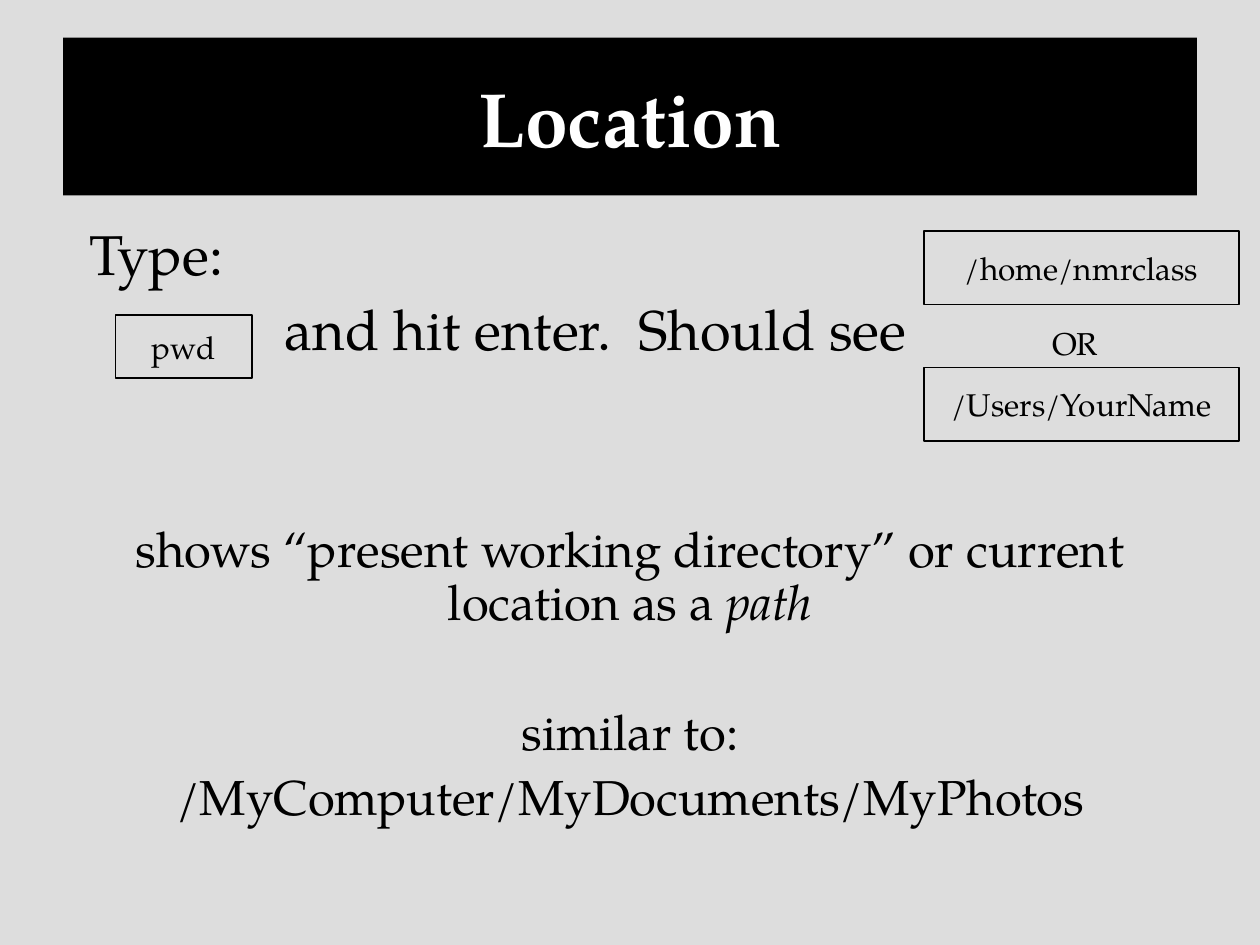
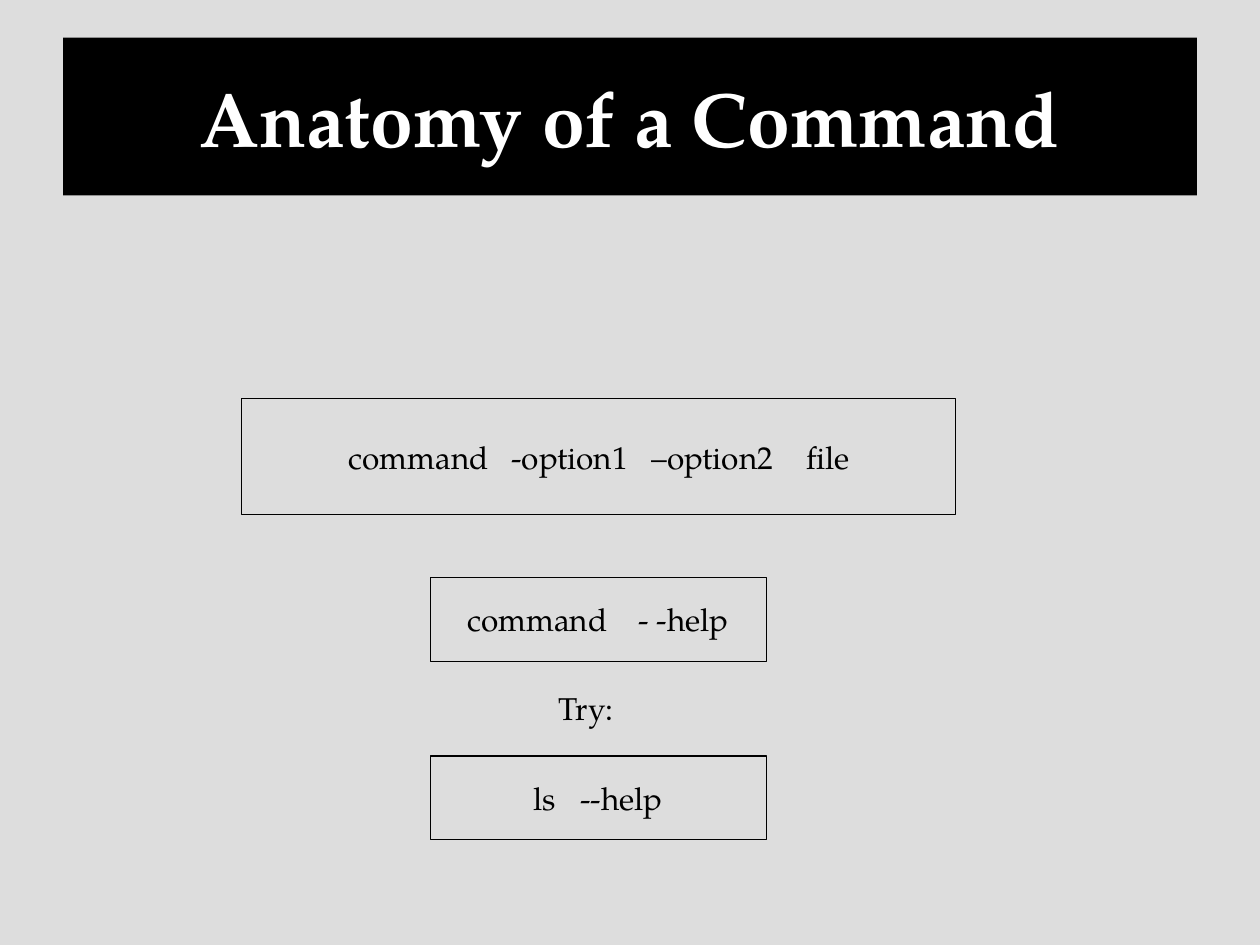
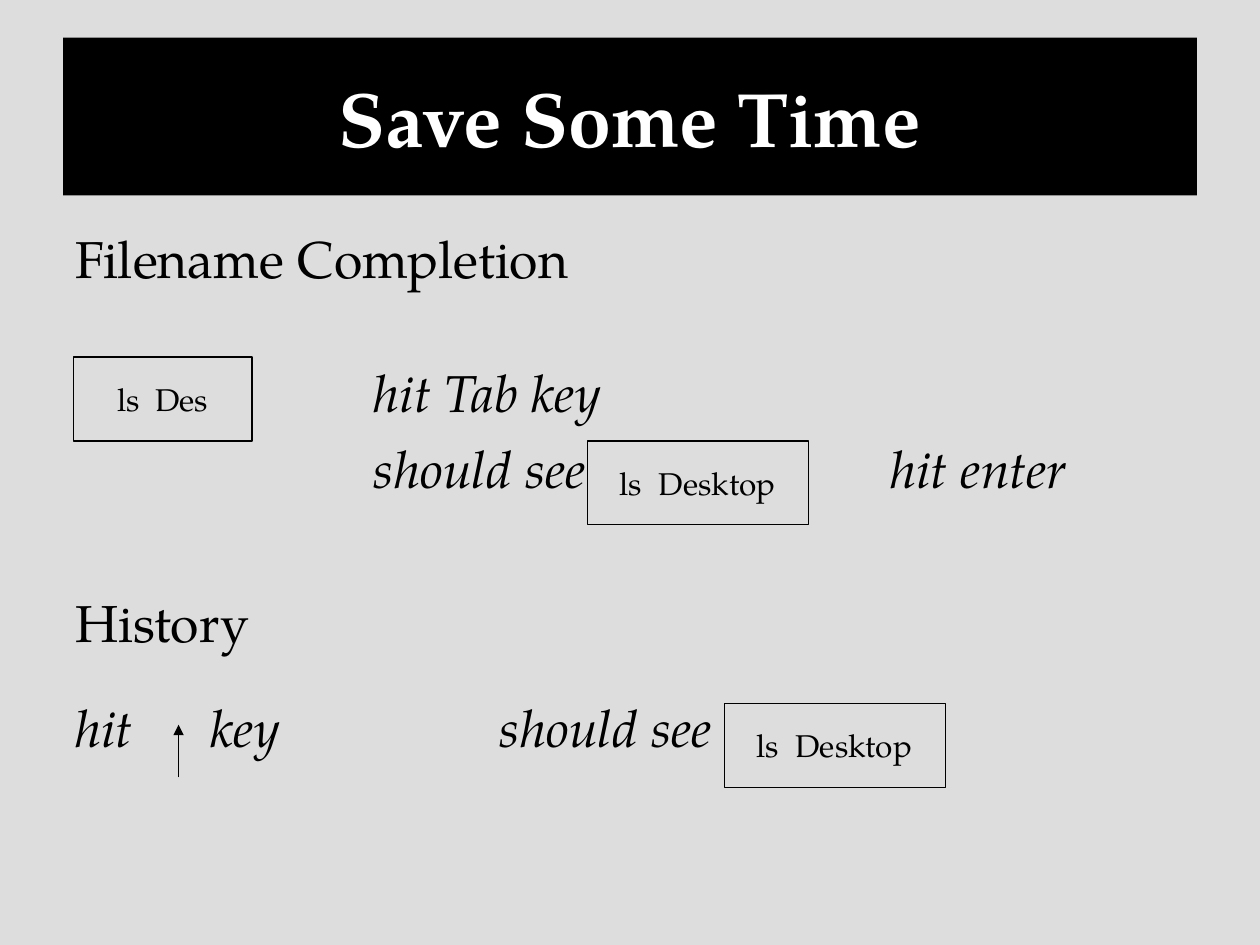
from dataclasses import dataclass

from lxml.etree import SubElement
from pptx import Presentation
from pptx.dml.color import RGBColor
from pptx.enum.shapes import MSO_CONNECTOR, MSO_SHAPE
from pptx.enum.text import MSO_ANCHOR, PP_ALIGN
from pptx.oxml.ns import qn
from pptx.util import Cm, Pt


@dataclass(frozen=True)
class Theme:
    font: str = "TeX Gyre Pagella"
    background: RGBColor = RGBColor(0xDD, 0xDD, 0xDD)
    ink: RGBColor = RGBColor(0, 0, 0)
    title_ink: RGBColor = RGBColor(255, 255, 255)
    title_size: float = 44
    lead_size: float = 32
    detail_size: float = 28
    note_size: float = 29.6
    code_size: float = 18
    line_width: float = 0.75


@dataclass(frozen=True)
class Line:
    """Pieces of text, either centred or each starting at its own distance (cm)."""
    pieces: tuple
    size: float
    before: float = 0
    spacing: float = 1.0
    italic: bool = False
    centred: bool = False
    emphasis: str = ""


THEME = Theme()
BAND = (1.27, 0.76, 22.86, 3.18)
BODY = (1.27, 4.45, 22.86, 12.57)
HANGING = 0.97
INSET = (0.25, 0.13)


def lead(*pieces):
    return Line(pieces, THEME.lead_size, 8, 0.9)


def detail(text, before=7, emphasis=""):
    return Line(((0, text),), THEME.detail_size, before, 0.9,
                centred=True, emphasis=emphasis)


def note(*pieces, before=8.0, italic=True):
    return Line(pieces, THEME.note_size, before, italic=italic)


DESKTOP = ((0.64, "ls"), (1.43, "Desktop"))

# Boxes and labels: text or placed pieces, then left, top, width, height in cm
SLIDES = [
    {
        "title": "Location",
        "body": [
            lead((0.28, "Type:")),
            lead((4.22, "and hit enter."), (11.35, "Should see")),
            detail("shows “present working directory” or current location as a ",
                   before=93, emphasis="path"),
            detail("similar to:", before=44),
            detail("/MyComputer/MyDocuments/MyPhotos"),
        ],
        "boxes": [
            ("pwd", 2.33, 6.35, 2.75, 1.27),
            ("/home/nmrclass", 18.63, 4.66, 6.35, 1.48),
            ("/Users/YourName", 18.63, 7.41, 6.35, 1.48),
        ],
        "labels": [("OR", 20.96, 6.4, 1.48, 1.02)],
    },
    {
        "title": "Anatomy of a Command",
        "boxes": [
            (((2.16, "command"), (5.44, "-option1"), (8.26, "–option2"),
              (11.38, "file")), 4.87, 8.04, 14.4, 2.33),
            (((0.74, "command"), (4.19, "- -help")), 8.68, 11.64, 6.77, 1.69),
            (((2.08, "ls"), (3.02, "--help")), 8.68, 15.24, 6.77, 1.69),
        ],
        "labels": [("Try:", 11, 13.76, 2.33, 1.02)],
    },
    {
        "title": "Save Some Time",
        "body": [
            note((0, "Filename Completion"), italic=False),
            note((6.02, "hit Tab key"), before=41),
            note((6.02, "should see"), (16.43, "hit enter")),
            note((0, "History"), before=52, italic=False),
            note((0, "hit"), (2.72, "key"), (8.56, "should see"), before=24.5),
        ],
        "boxes": [
            (((0.89, "ls"), (1.65, "Des")), 1.48, 7.2, 3.6, 1.69),
            (DESKTOP, 11.85, 8.89, 4.45, 1.69),
            (DESKTOP, 14.61, 14.18, 4.45, 1.69),
        ],
        "arrows": [(3.6, 15.67, 3.6, 14.61)],
    },
]


def lengths(values):
    return [Cm(value) for value in values]


def set_font(font, size, color, bold=False, italic=False):
    font.name, font.size = THEME.font, Pt(size)
    font.bold, font.italic = bold, italic
    font.color.rgb = color


def write_line(paragraph, line):
    properties = paragraph._p.get_or_add_pPr()
    stops = [x for x, _ in line.pieces if x]
    if stops:
        tabs = SubElement(properties, qn("a:tabLst"))
        for x in stops:
            SubElement(tabs, qn("a:tab"), pos=str(Cm(x)), algn="l")
    paragraph.alignment = PP_ALIGN.CENTER if line.centred else PP_ALIGN.LEFT
    paragraph.space_before = Pt(line.before)
    paragraph.line_spacing = line.spacing
    set_font(paragraph.font, line.size, THEME.ink, italic=line.italic)
    paragraph.add_run().text = "".join(
        ("\t" if x else "") + text for x, text in line.pieces)
    if line.emphasis:
        emphasized = paragraph.add_run()
        emphasized.text = line.emphasis
        emphasized.font.italic = True


def set_frame(frame, inset, anchor):
    frame.word_wrap = True
    frame.vertical_anchor = anchor
    frame.margin_left = frame.margin_right = Cm(inset[0])
    frame.margin_top = frame.margin_bottom = Cm(inset[1])


def add_title(slide, text):
    title = slide.shapes.title
    title.left, title.top, title.width, title.height = lengths(BAND)
    title.fill.solid()
    title.fill.fore_color.rgb = THEME.ink
    frame = title.text_frame
    frame.text = text
    set_frame(frame, INSET, MSO_ANCHOR.MIDDLE)
    frame.paragraphs[0].alignment = PP_ALIGN.CENTER
    set_font(frame.paragraphs[0].font, THEME.title_size, THEME.title_ink, bold=True)


def add_text(slide, lines, place):
    frame = slide.shapes.add_textbox(*lengths(place)).text_frame
    set_frame(frame, INSET, MSO_ANCHOR.TOP)
    for index, line in enumerate(lines):
        write_line(frame.add_paragraph() if index else frame.paragraphs[0], line)


def add_code_box(slide, code, place):
    box = slide.shapes.add_shape(MSO_SHAPE.RECTANGLE, *lengths(place))
    box.shadow.inherit = False
    box.fill.background()
    box.line.color.rgb = THEME.ink
    box.line.width = Pt(THEME.line_width)
    set_frame(box.text_frame, (0, INSET[1]), MSO_ANCHOR.MIDDLE)
    centred = isinstance(code, str)
    pieces = ((0, code),) if centred else code
    write_line(box.text_frame.paragraphs[0],
               Line(pieces, THEME.code_size, centred=centred))


def add_arrow(slide, ends):
    arrow = slide.shapes.add_connector(MSO_CONNECTOR.STRAIGHT, *lengths(ends))
    arrow.line.color.rgb = THEME.ink
    arrow.line.width = Pt(THEME.line_width)
    SubElement(arrow.line._get_or_add_ln(), qn("a:tailEnd"), type="triangle")
    SubElement(arrow._element.spPr, qn("a:effectLst"))


def main():
    deck = Presentation()
    deck.slide_width, deck.slide_height = Cm(25.4), Cm(19.05)
    background = deck.slide_master.background.fill
    background.solid()
    background.fore_color.rgb = THEME.background
    title_only = deck.slide_layouts[5]

    for content in SLIDES:
        slide = deck.slides.add_slide(title_only)
        add_title(slide, content["title"])
        if "body" in content:
            add_text(slide, content["body"], BODY)
        for ends in content.get("arrows", []):
            add_arrow(slide, ends)
        for code, *place in content["boxes"]:
            add_code_box(slide, code, place)
        for text, *place in content.get("labels", []):
            add_text(slide, [Line(((0, text),), THEME.code_size, 11.2)], place)

    deck.save("out.pptx")


if __name__ == "__main__":
    main()
